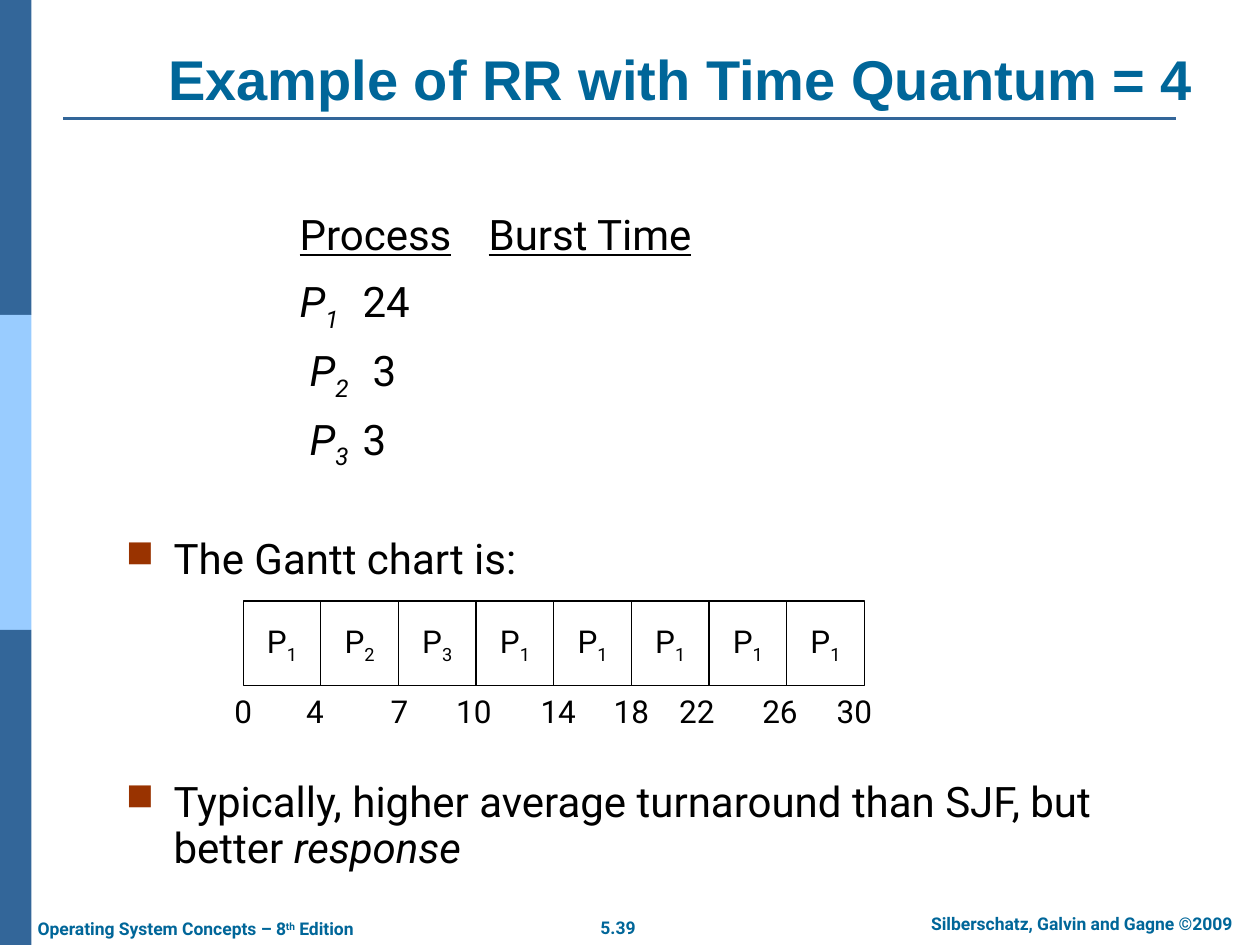
from lxml.etree import SubElement
from pptx import Presentation
from pptx.dml.color import RGBColor
from pptx.enum.shapes import MSO_CONNECTOR, MSO_SHAPE
from pptx.enum.text import MSO_ANCHOR, PP_ALIGN
from pptx.oxml.ns import qn
from pptx.util import Inches, Pt

NAVY = RGBColor(0x33, 0x66, 0x99)
SKY = RGBColor(0x99, 0xCC, 0xFF)
TEAL = RGBColor(0x00, 0x66, 0x99)
RUST = RGBColor(0x99, 0x33, 0x00)
BLACK = RGBColor(0, 0, 0)
WHITE = RGBColor(0xFF, 0xFF, 0xFF)

TITLE = {"name": "Arial", "size": Pt(32), "bold": True}
BODY = {"name": "Roboto", "size": Pt(24)}
GANTT = {"name": "Roboto", "size": Pt(18)}
FOOTER = {"name": "Roboto", "size": Pt(10), "bold": True}
UNDERLINE = {"underline": True}
ITALIC = {"italic": True}
SUBSCRIPT, SUPERSCRIPT = -25000, 30000


class SlideBuilder:
    """Hold the text style and the current slide, and add each kind of element."""

    def __init__(self, slide):
        self.slide = slide
        self.style = BODY
        self.color = BLACK

    def use(self, style, color):
        self.style, self.color = style, color

    def add_runs(self, paragraph, *pieces):
        for text, extra, baseline in pieces:
            run = paragraph.add_run()
            run.text = text
            for attribute, value in {**self.style, **extra}.items():
                setattr(run.font, attribute, value)
            run.font.color.rgb = self.color
            if baseline:
                run._r.get_or_add_rPr().set("baseline", str(baseline))

    def title(self, text, left, top, width, height):
        heading = self.slide.shapes.title
        bounds = {"left": left, "top": top, "width": width, "height": height}
        for attribute, value in bounds.items():
            setattr(heading, attribute, Inches(value))
        heading.text_frame.vertical_anchor = MSO_ANCHOR.BOTTOM
        paragraph = heading.text_frame.paragraphs[0]
        paragraph.alignment = PP_ALIGN.CENTER
        self.add_runs(paragraph, (text, {}, 0))

    def rectangle(self, left, top, width, height, fill, outline=None):
        box = self.slide.shapes.add_shape(
            MSO_SHAPE.RECTANGLE, Inches(left), Inches(top), Inches(width), Inches(height))
        box.shadow.inherit = False
        box.fill.solid()
        box.fill.fore_color.rgb = fill
        if outline is None:
            box.line.fill.background()
        else:
            box.line.color.rgb = outline
            box.line.width = Pt(0.75)
        return box

    def cell(self, left, top, width, height, process):
        frame = self.rectangle(left, top, width, height, WHITE, BLACK).text_frame
        frame.word_wrap = False
        frame.vertical_anchor = MSO_ANCHOR.MIDDLE
        frame.paragraphs[0].alignment = PP_ALIGN.CENTER
        self.add_runs(frame.paragraphs[0], ("P", {}, 0), (process, {}, SUBSCRIPT))

    def rule(self, start, end, y):
        line = self.slide.shapes.add_connector(
            MSO_CONNECTOR.STRAIGHT, Inches(start), Inches(y), Inches(end), Inches(y))
        line.line.color.rgb = NAVY
        line.line.width = Pt(1.5)
        SubElement(line._element.spPr, qn("a:effectLst"))

    def textbox(self, left, top, width, height, wrap=True):
        box = self.slide.shapes.add_textbox(
            Inches(left), Inches(top), Inches(width), Inches(height))
        box.text_frame.word_wrap = wrap
        return box.text_frame

    def label(self, left, top, width, height, *pieces, align=PP_ALIGN.CENTER):
        paragraph = self.textbox(left, top, width, height, wrap=False).paragraphs[0]
        paragraph.alignment = align
        self.add_runs(paragraph, *pieces)

    def body_line(self, frame, margin, indent, before, pieces, bullet=False):
        paragraph = frame.paragraphs[0]
        if paragraph.runs:
            paragraph = frame.add_paragraph()
        paragraph.line_spacing = 0.9
        paragraph.space_before = Pt(before)
        properties = paragraph._p.get_or_add_pPr()
        properties.set("marL", str(Inches(margin)))
        properties.set("indent", str(Inches(indent)))
        if bullet:
            color = SubElement(properties, qn("a:buClr"))
            SubElement(color, qn("a:srgbClr"), val=str(RUST))
            SubElement(properties, qn("a:buSzPct"), val="90000")
            SubElement(properties, qn("a:buChar"), char="■")
        self.add_runs(paragraph, *pieces)


def main():
    deck = Presentation()
    deck.slide_width, deck.slide_height = Inches(10), Inches(7.5)
    builder = SlideBuilder(deck.slides.add_slide(deck.slide_layouts[5]))

    for band, fill in enumerate((NAVY, SKY, NAVY)):
        builder.rectangle(0, band * 2.5, 0.25, 2.5, fill)
    builder.rule(0.5, 9.33, 0.94)

    builder.use(FOOTER, TEAL)
    builder.label(4.66, 7.23, 0.49, 0.27, ("5.39", {}, 0))
    builder.label(7.1, 7.2, 2.97, 0.27, ("Silberschatz, Galvin and Gagne ©2009", {}, 0))
    builder.label(0.2, 7.24, 2.88, 0.27, ("Operating System Concepts – 8", {}, 0),
                  ("th", {}, SUPERSCRIPT), (" Edition", {}, 0), align=PP_ALIGN.LEFT)

    builder.use(TITLE, TEAL)
    builder.title("Example of RR with Time Quantum = 4", 1, 0.02, 8.81, 0.92)

    builder.use(BODY, BLACK)
    body = builder.textbox(0.9, 1.65, 8.04, 4.9)
    builder.body_line(body, 1.38, 0, 9.8, [
        ("Process", UNDERLINE, 0), ("\t", {}, 0), ("Burst Time", UNDERLINE, 0)])
    bursts = (("1", "24", 1.38, 0), ("2", "3", 1.46, 0), ("3", "3", 1.38, 0.08))
    for process, burst, margin, indent in bursts:
        builder.body_line(body, margin, indent, 9.8, [
            ("P", ITALIC, 0), (process, ITALIC, SUBSCRIPT), (f"\t{burst}", {}, 0)])
    builder.body_line(body, 0.38, -0.38, 41.5, [("The Gantt chart is:", {}, 0)], bullet=True)
    builder.body_line(body, 0.38, -0.38, 113, [
        ("Typically, higher average turnaround than SJF, but better ", {}, 0),
        ("response", ITALIC, 0)], bullet=True)

    builder.use(GANTT, BLACK)
    cell_width = 4.93 / 8
    for position, process in enumerate("12311111"):
        builder.cell(1.93 + position * cell_width, 4.77, cell_width, 0.67, process)

    time_centers = {0: 1.93, 4: 2.5, 7: 3.17, 10: 3.76, 14: 4.43,
                    18: 5.01, 22: 5.53, 26: 6.19, 30: 6.78}
    for time, center in time_centers.items():
        builder.label(center - 0.24, 5.44, 0.48, 0.4, (str(time), {}, 0))

    deck.save("out.pptx")


if __name__ == "__main__":
    main()
